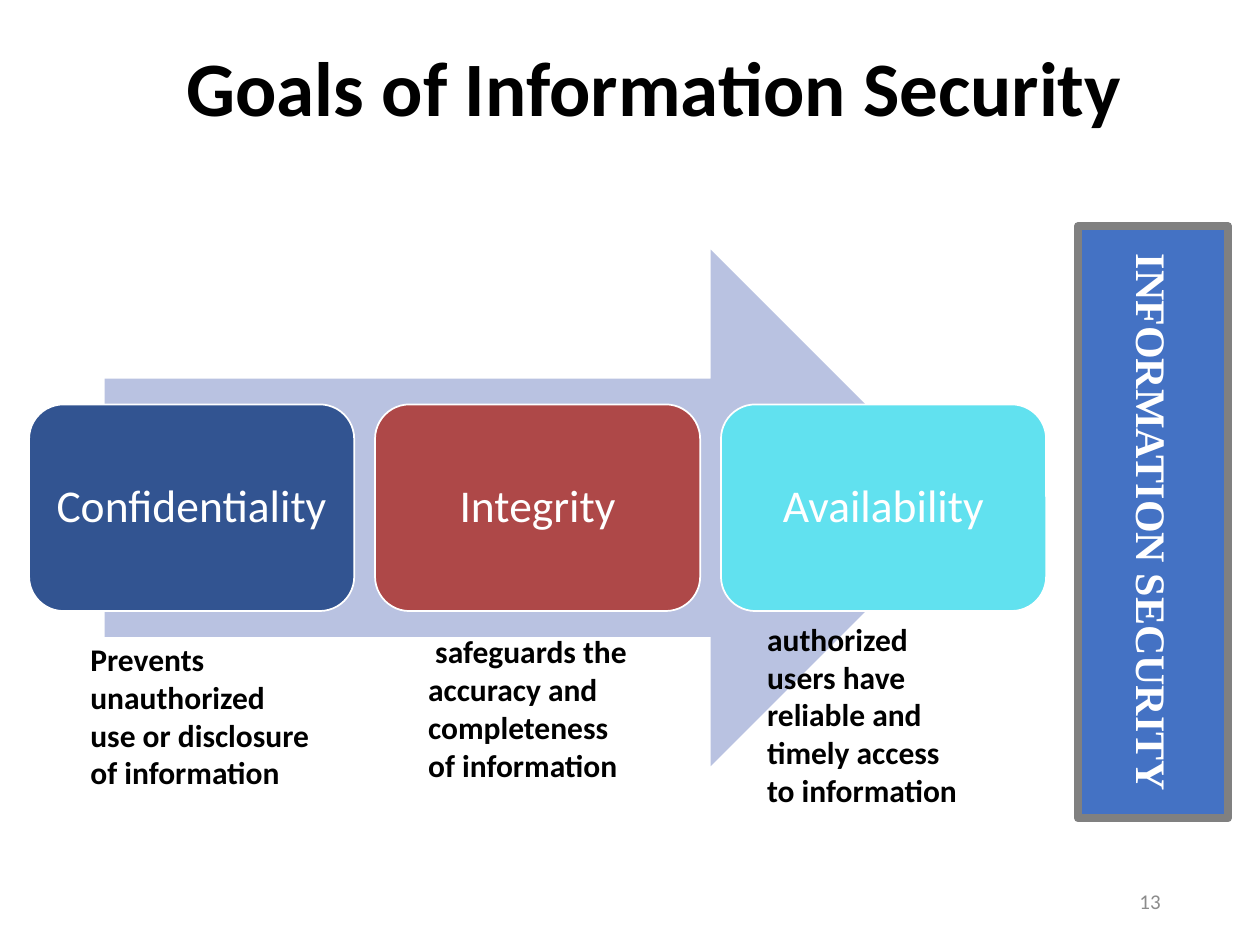
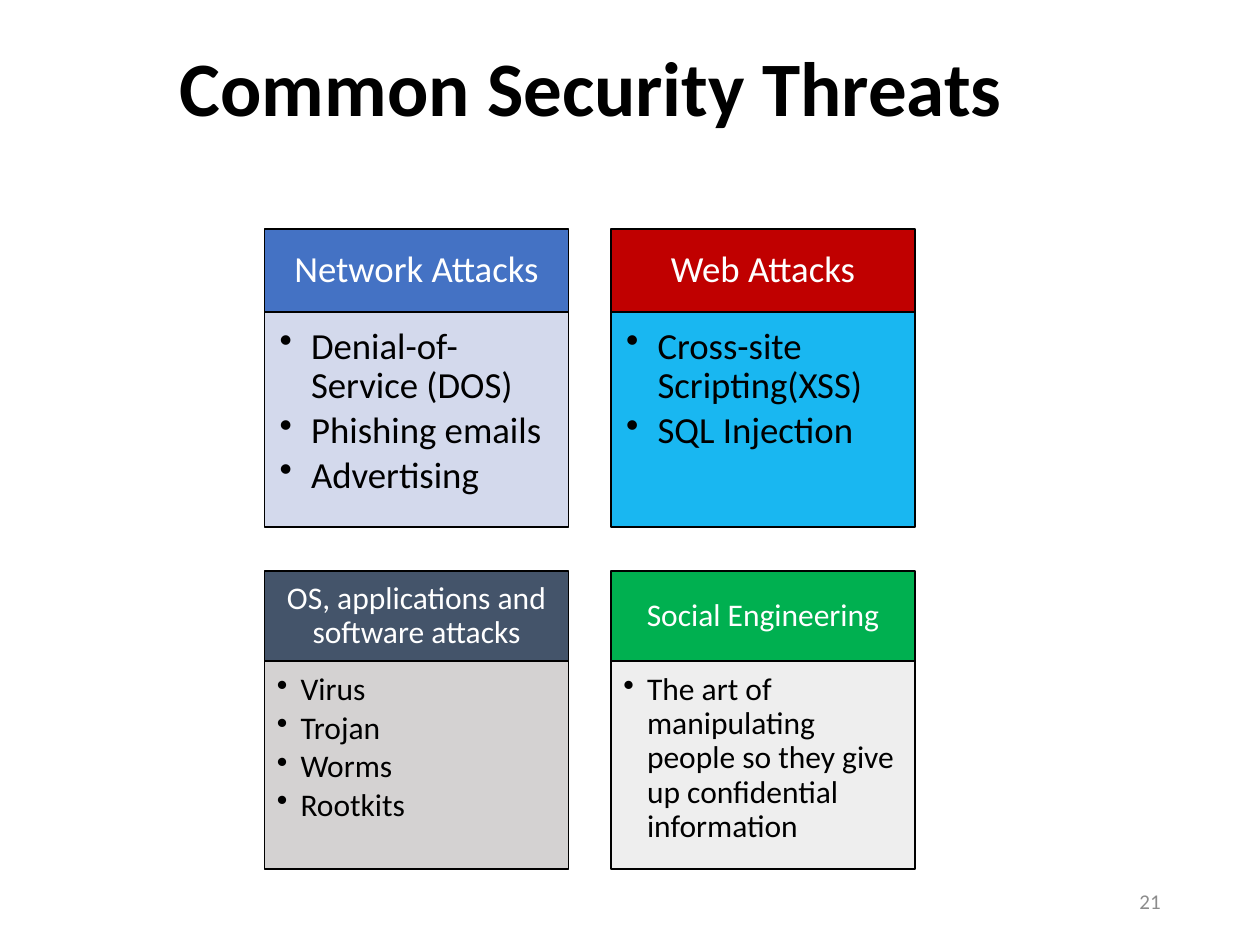
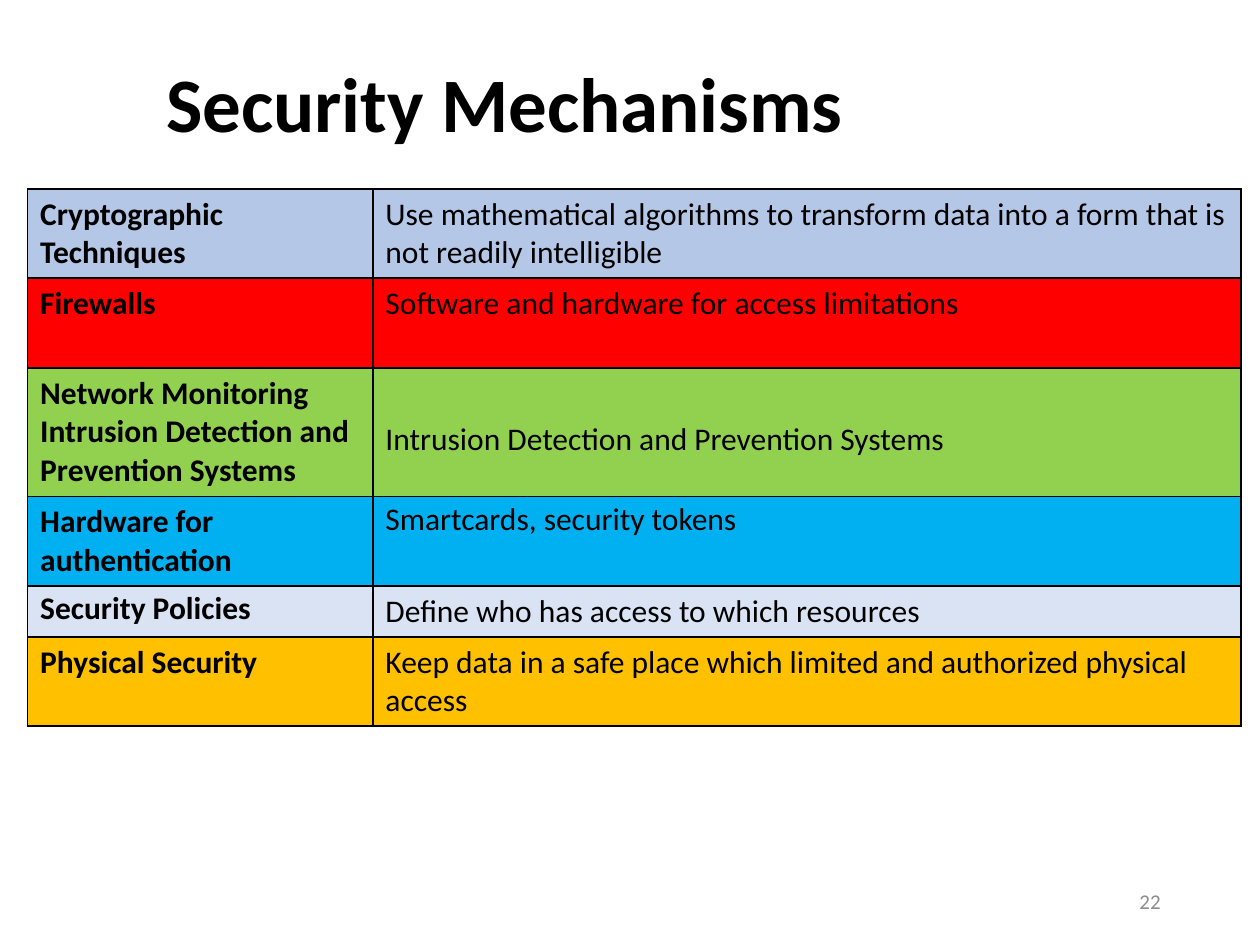
from pptx import Presentation
from pptx.dml.color import RGBColor
from pptx.enum.shapes import MSO_SHAPE
from pptx.enum.text import MSO_ANCHOR, PP_ALIGN
from pptx.oxml.ns import qn
from pptx.util import Pt
from lxml.etree import SubElement

THEME = {
    "font": "Calibri", "serif": "Times New Roman",
    "black": "000000", "white": "FFFFFF", "muted": "8C8C8C", "frame": "808080",
    "blue": "4472C4", "arrow": "B9C2E1",
    "title": 44, "goal": 26, "banner": 24, "body": 18, "number": 12,
}

GOALS = [
    ("Confidentiality", "325491", (44.6, 362.2),
     ["Prevents unauthorized", "use or disclosure of information"]),
    ("Integrity", "AE4848", (237.6, 357.8),
     [" safeguards the", "accuracy and", "completeness", "of information"]),
    ("Availability", "61E1EF", (431.3, 350.6),
     ["authorized", "users have", "reliable and", "timely access", "to information"]),
]

THREAT_ROWS = [
    {"top": 131, "head": 47.5, "body": 122.5, "size": 21, "indent": 18,
     "insets": (8.6, 8.6, 11.5, 13),
     "cards": [
         ("Network Attacks", THEME["blue"], "CFD5EA",
          ["Denial-of-Service (DOS)", "Phishing emails", "Advertising"]),
         ("Web Attacks", "C00000", "00B0F0",
          ["Cross-site Scripting(XSS)", "SQL Injection"]),
     ]},
    {"top": 326.2, "head": 51.6, "body": 119, "size": 18, "indent": 13.5,
     "insets": (7.2, 7.2, 10, 11.5),
     "cards": [
         ("OS, applications and software attacks", "44546A", "D0CECE",
          ["Virus", "Trojan", "Worms", "Rootkits"]),
         ("Social Engineering", "00B050", "EDEDED",
          ["The art of manipulating people so they give up confidential information"]),
     ]},
]

MECHANISMS = [
    ("Cryptographic Techniques",
     "Use mathematical algorithms to transform data into a form that is not readily intelligible",
     "B4C7E7", 51, {}),
    ("Firewalls", "Software and hardware for access limitations", "FF0000", 51.4, {}),
    ("Network Monitoring Intrusion Detection and Prevention Systems",
     "Intrusion Detection and Prevention Systems", "92D050", 73.4, {1: 31}),
    ("Hardware for authentication", "Smartcards, security tokens", "00B0F0", 51, {1: 3.6}),
    ("Security Policies", "Define who has access to which resources", "DAE3F3", 29.2, {0: 3.6}),
    ("Physical Security",
     "Keep data in a safe place which limited and authorized physical access",
     "FFC000", 51, {}),
]


def rgb(value):
    return RGBColor.from_string(value)


def apply(target, values):
    for name, value in values.items():
        setattr(target, name, value)


def write(tf, lines, size, color="000000", bold=False, font=THEME["font"],
          para=None, frame=None, indent=0):
    apply(tf, {"word_wrap": True, **(frame or {})})
    for i, line in enumerate(lines):
        p = tf.paragraphs[0] if i == 0 else tf.add_paragraph()
        apply(p, para or {})
        if indent:
            pPr = p._p.get_or_add_pPr()
            pPr.set("marL", str(Pt(indent)))
            pPr.set("indent", str(-Pt(indent)))
            SubElement(pPr, qn("a:buChar")).set("char", "•")
        r = p.add_run()
        r.text = line
        apply(r.font, {"size": Pt(size), "bold": bold, "name": font})
        r.font.color.rgb = rgb(color)


def text(s, box, lines, size, **style):
    tb = s.shapes.add_textbox(*map(Pt, box))
    write(tb.text_frame, lines, size, **style)


def shape(s, kind, box, fill, line=None, width=1, alpha=None):
    sp = s.shapes.add_shape(kind, *map(Pt, box))
    sp.shadow.inherit = False
    sp.fill.solid()
    sp.fill.fore_color.rgb = rgb(fill)
    if alpha:
        clr = sp.fill._xPr.find(qn("a:solidFill"))[0]
        SubElement(clr, qn("a:alpha")).set("val", str(alpha * 1000))
    if line:
        sp.line.color.rgb = rgb(line)
        sp.line.width = Pt(width)
    else:
        sp.line.fill.background()
    return sp


def margins(left, top, right, bottom):
    return {"margin_left": Pt(left), "margin_top": Pt(top),
            "margin_right": Pt(right), "margin_bottom": Pt(bottom)}


MIDDLE = {"vertical_anchor": MSO_ANCHOR.MIDDLE}
CENTER = {"alignment": PP_ALIGN.CENTER, "line_spacing": 0.9}


def new_slide(title, number, left, top=0):
    s = prs.slides.add_slide(prs.slide_layouts[6])
    text(s, (left, top, 620.6, 104.4), [title], THEME["title"], bold=True,
         para={"line_spacing": 0.9}, frame=MIDDLE)
    text(s, (508.3, 500.4, 162, 28.8), [str(number)], THEME["number"],
         color=THEME["muted"], para={"alignment": PP_ALIGN.RIGHT}, frame=MIDDLE)
    return s


def goals_slide():
    s = new_slide("Goals of Information Security", 13, 99.4)
    shape(s, MSO_SHAPE.RIGHT_ARROW, (59.8, 142.6, 493.9, 295.2), THEME["arrow"])
    left, width, gap = 16.6, 185.8, 11.9
    for i, (name, fill, _, _) in enumerate(GOALS):
        box = (left + i * (width + gap), 231.1, width, 118.1)
        sp = shape(s, MSO_SHAPE.ROUNDED_RECTANGLE, box, fill, THEME["white"])
        write(sp.text_frame, [name], THEME["goal"], color=THEME["white"],
              para=CENTER, frame=MIDDLE)
    sp = shape(s, MSO_SHAPE.RECTANGLE, (489.6, 255.6, 338.4, 85.7),
               THEME["blue"], THEME["frame"], 4.5)
    sp.rotation = 90
    write(sp.text_frame, ["INFORMATION SECURITY"], THEME["banner"],
          color=THEME["white"], bold=True, font=THEME["serif"],
          para={"alignment": PP_ALIGN.CENTER}, frame=MIDDLE)
    for _, _, (x, y), lines in GOALS:
        text(s, (x, y, 153.4, 94.3), lines, THEME["body"], bold=True)


def threats_slide():
    s = new_slide(" Common Security Threats", 21, 85.7)
    left, width, gap = 151.2, 173.7, 24.3
    for row in THREAT_ROWS:
        size = row["size"]
        for i, (name, head, body, items) in enumerate(row["cards"]):
            x = left + i * (width + gap)
            sp = shape(s, MSO_SHAPE.RECTANGLE, (x, row["top"], width, row["head"]),
                       head, THEME["black"])
            write(sp.text_frame, [name], size, color=THEME["white"], para=CENTER,
                  frame={**MIDDLE, **margins(10, 6, 10, 6)})
            sp = shape(s, MSO_SHAPE.RECTANGLE,
                       (x, row["top"] + row["head"], width, row["body"]),
                       body, THEME["black"], alpha=90)
            write(sp.text_frame, items, size, indent=row["indent"],
                  para={"alignment": PP_ALIGN.LEFT, "line_spacing": 0.9,
                        "space_after": Pt(round(size * 0.14, 1))},
                  frame={"vertical_anchor": MSO_ANCHOR.TOP, **margins(*row["insets"])})


def border(cell):
    tcPr = cell._tc.get_or_add_tcPr()
    for side in ("a:lnL", "a:lnR", "a:lnT", "a:lnB"):
        ln = SubElement(tcPr, qn(side))
        ln.set("w", str(Pt(1)))
        fill = SubElement(ln, qn("a:solidFill"))
        SubElement(fill, qn("a:srgbClr")).set("val", THEME["black"])


def mechanisms_slide():
    s = new_slide("Security Mechanisms", 22, 87.8, 9.4)
    widths = (197.3, 496.1)
    height = sum(m[3] for m in MECHANISMS)
    table = s.shapes.add_table(len(MECHANISMS), len(widths), Pt(15.8), Pt(108),
                               Pt(sum(widths)), Pt(height)).table
    for col, width in zip(table.columns, widths):
        col.width = Pt(width)
    for row, (name, detail, fill, tall, tight) in zip(table.rows, MECHANISMS):
        row.height = Pt(tall)
        for i, (cell, words) in enumerate(zip(row.cells, (name, detail))):
            border(cell)
            cell.fill.solid()
            cell.fill.fore_color.rgb = rgb(fill)
            cell.margin_top = Pt(tight.get(i, 3.6))
            write(cell.text_frame, [words], THEME["body"], bold=i == 0,
                  para={"line_spacing": 0.9} if i in tight else None)


prs = Presentation()
prs.slide_width, prs.slide_height = Pt(720), Pt(540)
goals_slide()
threats_slide()
mechanisms_slide()
prs.save("out.pptx")
